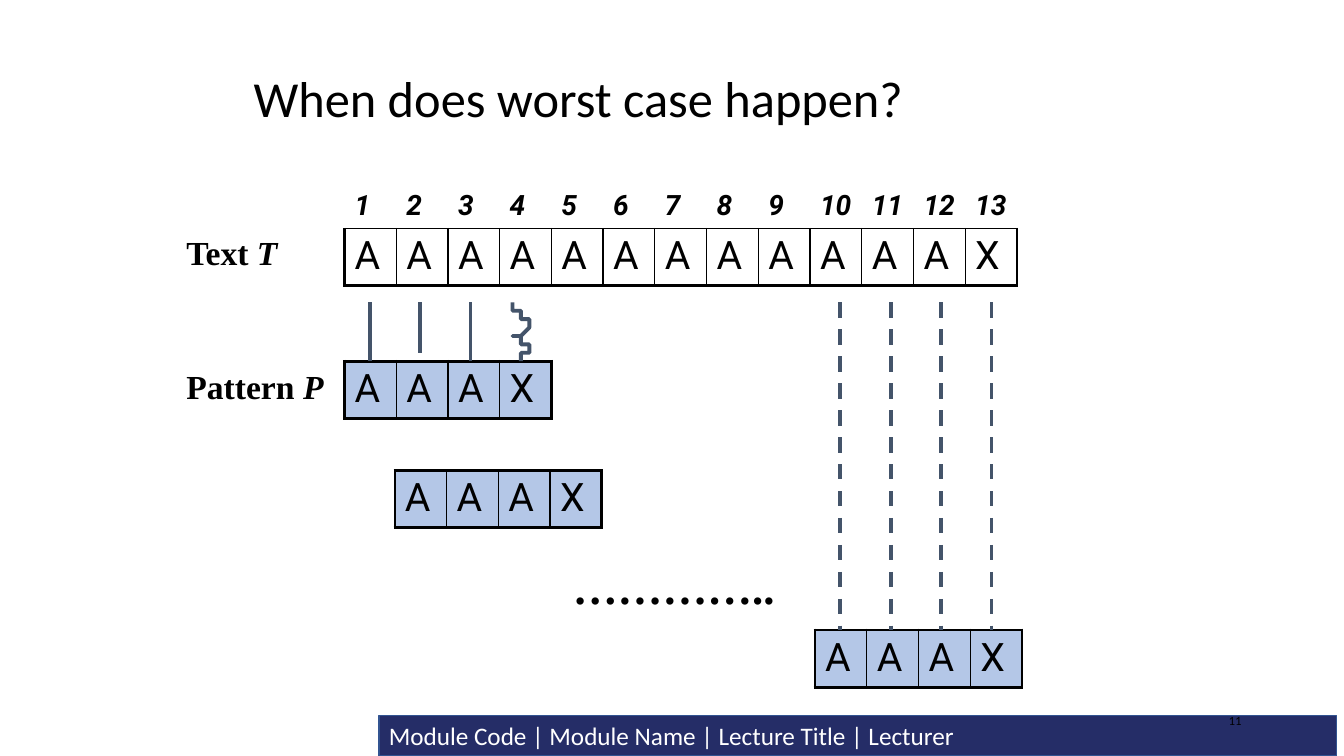
from pptx import Presentation
from pptx.dml.color import RGBColor
from pptx.enum.dml import MSO_LINE
from pptx.enum.shapes import MSO_CONNECTOR, MSO_SHAPE
from pptx.enum.text import MSO_ANCHOR, PP_ALIGN
from pptx.oxml.ns import qn
from pptx.util import Inches, Pt
from lxml.etree import SubElement

FOOTER = "Module Code | Module Name | Lecture Title | Lecturer"
TEXT, PATTERN = "AAAAAAAAAAAAX", "AAAX"
NUMBERS = [str(n + 1) for n in range(len(TEXT))]
SERIF = dict(font="Times New Roman", bold=True)
LABELS = [
    ((67, 66, 38, 7.6), [("…………..", False)], 32),
    ((21, 27, 17, 6), [("Text ", False), ("T", True)], 24),
    ((21, 43, 20, 6), [("Pattern ", False), ("P", True)], 24),
]
PATTERN_SPOTS = [(41, 43), (47, 56), (97, 75)]
MATCH_TOP, STEP = 36, 6
MATCH_ENDS = [43, 42, 43]
DASH_END = 75
MISMATCH_START = (61, 36)
MISMATCH = [
    ((62, 37.2), (63, 38.3), (63, 39)),
    ((63, 39.7), (61, 39.7), (61, 40)),
    ((61, 40.3), (62.9, 40.6), (63, 41)),
    ((63.1, 41.5), (62.2, 42.7), (62, 43)),
]
CELL_W, CELL_H, NUMBER_H = 6.16, 6.8, 5.1
BLACK, WHITE, NAVY, SLATE, BLUE = "000000", "FFFFFF", "252D67", "44546A", "B4C7E7"
THIN, THICK = 1, 2.25

prs = Presentation()
prs.slide_width, prs.slide_height = Inches(13.33), Inches(7.5)
s = prs.slides.add_slide(prs.slide_layouts[6])


def grid(*units):
    """Convert twelfths of an inch to slide lengths."""
    return [Inches(u / 12) for u in units]


def color(value):
    """Turn a hex string into a colour."""
    return RGBColor.from_string(value)


def write(tf, runs, size, font="Calibri", ink=BLACK, bold=False, align=PP_ALIGN.LEFT,
          anchor=MSO_ANCHOR.TOP, spacing=None):
    """Fill a text frame with (text, italic) runs in one format."""
    tf.word_wrap = True
    tf.vertical_anchor = anchor
    p = tf.paragraphs[0]
    p.alignment, p.line_spacing = align, spacing
    for text, italic in runs:
        r = p.add_run()
        r.text = text
        r.font.size, r.font.name = Pt(size), font
        r.font.bold, r.font.italic = bold, italic
        r.font.color.rgb = color(ink)


def add_label(box, runs, size, **fmt):
    """Add a text box on the grid."""
    write(s.shapes.add_textbox(*grid(*box)).text_frame, runs, size, **fmt)


def set_borders(cell, widths):
    """Draw the left, right, top and bottom borders; zero means none."""
    tcPr = cell._tc.get_or_add_tcPr()
    for side, width in zip("LRTB", widths):
        ln = SubElement(tcPr, qn(f"a:ln{side}"), w=str(Pt(width)))
        if width:
            fill = SubElement(ln, qn("a:solidFill"))
            SubElement(fill, qn("a:srgbClr"), val=BLACK)
        else:
            SubElement(ln, qn("a:noFill"))


def add_letters(left, top, letters, fill, top_line, numbers=None):
    """Add a strip of letter cells, with an optional row of numbers above."""
    heights = [NUMBER_H, CELL_H] if numbers else [CELL_H]
    count = len(letters)
    box = grid(left, top, count * CELL_W, sum(heights))
    table = s.shapes.add_table(len(heights), count, *box).table
    table.first_row = table.horz_banding = False
    for column in table.columns:
        column.width = grid(CELL_W)[0]
    for row, height in zip(table.rows, heights):
        row.height = grid(height)[0]
    rows = [numbers, letters] if numbers else [letters]
    for i, row in enumerate(rows):
        is_number = row is numbers
        for j, text in enumerate(row):
            cell = table.cell(i, j)
            ends = (THICK if j == 0 else THIN, THICK if j == count - 1 else THIN)
            set_borders(cell, (0, 0, 0, THIN) if is_number else (*ends, top_line, THICK))
            cell.fill.solid()
            cell.fill.fore_color.rgb = color(fill)
            write(cell.text_frame, [(text, is_number)], 20 if is_number else 28,
                  font="Roboto", bold=is_number)


def set_line(shape, ink=SLATE, width=2.75):
    """Set the colour and width of an outline."""
    shape.line.color.rgb = color(ink)
    shape.line.width = Pt(width)


def add_match(x, end, dashed=False):
    """Add a vertical line from the text down to a pattern."""
    line = s.shapes.add_connector(MSO_CONNECTOR.STRAIGHT, *grid(x, MATCH_TOP, x, end))
    set_line(line)
    if dashed:
        line.line.dash_style = MSO_LINE.DASH
    SubElement(line._element.spPr, qn("a:effectLst"))


def curve_points(start, curves, steps=12):
    """List points along a chain of cubic curves."""
    points = []
    for a, b, end in curves:
        for k in range(1, steps + 1):
            t = k / steps
            points.append(tuple(
                (1 - t) ** 3 * p0 + 3 * t * (1 - t) ** 2 * p1 + 3 * t * t * (1 - t) * p2 + t ** 3 * p3
                for p0, p1, p2, p3 in zip(start, a, b, end)))
        start = end
    return points


bar = s.shapes.add_shape(MSO_SHAPE.RECTANGLE, *grid(45.1, 85.2, 114, 4.8))
bar.shadow.inherit = False
bar.fill.solid()
bar.fill.fore_color.rgb = color(NAVY)
set_line(bar, "325491", 1)
write(bar.text_frame, [(FOOTER, False)], 18, ink=WHITE, anchor=MSO_ANCHOR.MIDDLE)

add_label((29, 7, 102, 10), [("When does worst case happen?", False)], 36,
          anchor=MSO_ANCHOR.MIDDLE, spacing=0.9)
add_label((113, 83.4, 36, 4.8), [("11", False)], 8, font="Lato",
          align=PP_ALIGN.RIGHT, anchor=MSO_ANCHOR.MIDDLE)

add_letters(41, 22, TEXT, WHITE, THIN, NUMBERS)
for left, top in PATTERN_SPOTS:
    add_letters(left, top, PATTERN, BLUE, THICK)

for i, end in enumerate(MATCH_ENDS):
    add_match(44 + i * STEP, end)
for i in range(len(PATTERN)):
    add_match(100 + i * STEP, DASH_END, dashed=True)

builder = s.shapes.build_freeform(*MISMATCH_START, scale=Inches(1) / 12)
builder.add_line_segments(curve_points(MISMATCH_START, MISMATCH), close=False)
squiggle = builder.convert_to_shape()
squiggle.shadow.inherit = False
squiggle.fill.background()
set_line(squiggle)

for box, runs, size in LABELS:
    add_label(box, runs, size, **SERIF)

prs.save("out.pptx")
